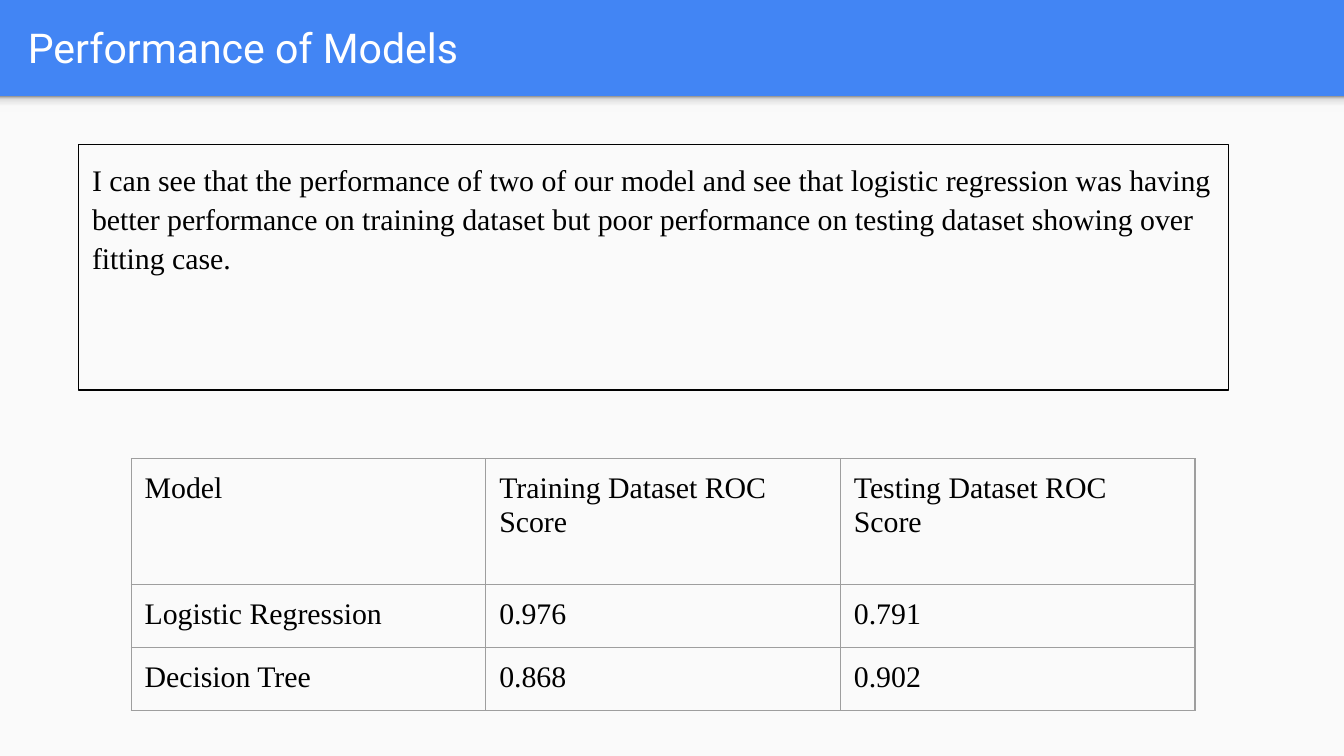
from copy import deepcopy

from lxml.etree import SubElement
from pptx import Presentation
from pptx.dml.color import RGBColor
from pptx.enum.shapes import MSO_SHAPE
from pptx.enum.text import MSO_ANCHOR, PP_ALIGN
from pptx.oxml.ns import qn
from pptx.util import Pt

BLUE = RGBColor(0x42, 0x85, 0xF4)
PAPER = RGBColor(0xFA, 0xFA, 0xFA)
WHITE = RGBColor(0xFF, 0xFF, 0xFF)
BLACK = RGBColor(0x00, 0x00, 0x00)
BORDER_GREY = RGBColor(0x9E, 0x9E, 0x9E)
SHADOW_STOPS = [
    (0, RGBColor(0xF9, 0xF9, 0xF9)),
    (0.36, RGBColor(0xF9, 0xF9, 0xF9)),
    (0.8, RGBColor(0xDE, 0xDE, 0xDE)),
    (1, RGBColor(0x99, 0x99, 0x99)),
]

SLIDE_WIDTH, SLIDE_HEIGHT = 720, 405
HEADER_HEIGHT = 51.5
INSET = Pt(7.2)
BORDER_WIDTH = Pt(0.75)

COMMENT = (
    "I can see that the performance of two of our model and see that "
    "logistic regression was having better performance on training dataset "
    "but poor performance on testing dataset showing over fitting case."
)
SCORES = [
    ("Model", "Training Dataset ROC Score", "Testing Dataset ROC Score"),
    ("Logistic Regression", "0.976", "0.791"),
    ("Decision Tree", "0.868", "0.902"),
]
COLUMN_WIDTH = 190
ROW_HEIGHTS = [67.5, 32.15, 32.15]


def write_text(frame, text, font="Times New Roman", size=16, color=BLACK,
               line_spacing=None):
    frame.word_wrap = True
    paragraph = frame.paragraphs[0]
    paragraph.alignment = PP_ALIGN.LEFT
    if line_spacing:
        paragraph.line_spacing = line_spacing
    run = paragraph.add_run()
    run.text = text
    run.font.name = font
    run.font.size = Pt(size)
    run.font.color.rgb = color


def set_insets(holder):
    holder.margin_left = holder.margin_right = INSET
    holder.margin_top = holder.margin_bottom = INSET


def add_rectangle(slide, left, top, width, height, fill=None, line=None):
    shape = slide.shapes.add_shape(
        MSO_SHAPE.RECTANGLE, Pt(left), Pt(top), Pt(width), Pt(height))
    shape.shadow.inherit = False
    if fill is None:
        shape.fill.background()
    else:
        shape.fill.solid()
        shape.fill.fore_color.rgb = fill
    if line is None:
        shape.line.fill.background()
    else:
        shape.line.color.rgb = line
        shape.line.width = BORDER_WIDTH
    return shape


def set_gradient(shape, stops, angle):
    shape.fill.gradient()
    shape.fill.gradient_angle = angle
    stop_list = next(shape._element.iter(qn("a:gsLst")))
    while len(stop_list) < len(stops):
        stop_list.append(deepcopy(stop_list[0]))
    for stop, (position, color) in zip(shape.fill.gradient_stops, stops):
        stop.position = position
        stop.color.rgb = color


def set_borders(cell, color):
    properties = cell._tc.get_or_add_tcPr()
    for index, side in enumerate(("lnL", "lnR", "lnT", "lnB")):
        line = properties.makeelement(qn(f"a:{side}"), {"w": str(BORDER_WIDTH)})
        fill = SubElement(line, qn("a:solidFill"))
        SubElement(fill, qn("a:srgbClr"), val=str(color))
        properties.insert(index, line)


def add_score_table(slide, left, top):
    columns = len(SCORES[0])
    table = slide.shapes.add_table(
        len(SCORES), columns, Pt(left), Pt(top),
        Pt(COLUMN_WIDTH * columns), Pt(sum(ROW_HEIGHTS))).table
    table.first_row = table.horz_banding = False
    for column in table.columns:
        column.width = Pt(COLUMN_WIDTH)
    for row, height, texts in zip(table.rows, ROW_HEIGHTS, SCORES):
        row.height = Pt(height)
        for cell, text in zip(row.cells, texts):
            set_insets(cell)
            cell.fill.background()
            set_borders(cell, BORDER_GREY)
            write_text(cell.text_frame, text)


def add_title(slide, text):
    box = slide.shapes.add_textbox(Pt(7.9), Pt(1.4), Pt(695), Pt(47.5))
    set_insets(box.text_frame)
    box.text_frame.vertical_anchor = MSO_ANCHOR.MIDDLE
    write_text(box.text_frame, text, font="Roboto", size=22, color=WHITE)


def add_comment(slide, text):
    box = add_rectangle(slide, 42.2, 77.5, 616, 131.5, line=BLACK)
    set_insets(box.text_frame)
    box.text_frame.vertical_anchor = MSO_ANCHOR.TOP
    write_text(box.text_frame, text, line_spacing=1.09)


def main():
    presentation = Presentation()
    presentation.slide_width = Pt(SLIDE_WIDTH)
    presentation.slide_height = Pt(SLIDE_HEIGHT)
    slide = presentation.slides.add_slide(presentation.slide_layouts[6])

    # Blue header above a pale body with a soft shadow
    slide.background.fill.solid()
    slide.background.fill.fore_color.rgb = BLUE
    add_rectangle(slide, 0, HEADER_HEIGHT, SLIDE_WIDTH,
                  SLIDE_HEIGHT - HEADER_HEIGHT, fill=PAPER)
    shadow = add_rectangle(slide, 0, HEADER_HEIGHT, SLIDE_WIDTH, 8.5)
    set_gradient(shadow, SHADOW_STOPS, angle=90)

    # Content
    add_title(slide, "Performance of Models")
    add_score_table(slide, 70.3, 245.8)
    add_comment(slide, COMMENT)

    presentation.save("out.pptx")


if __name__ == "__main__":
    main()
